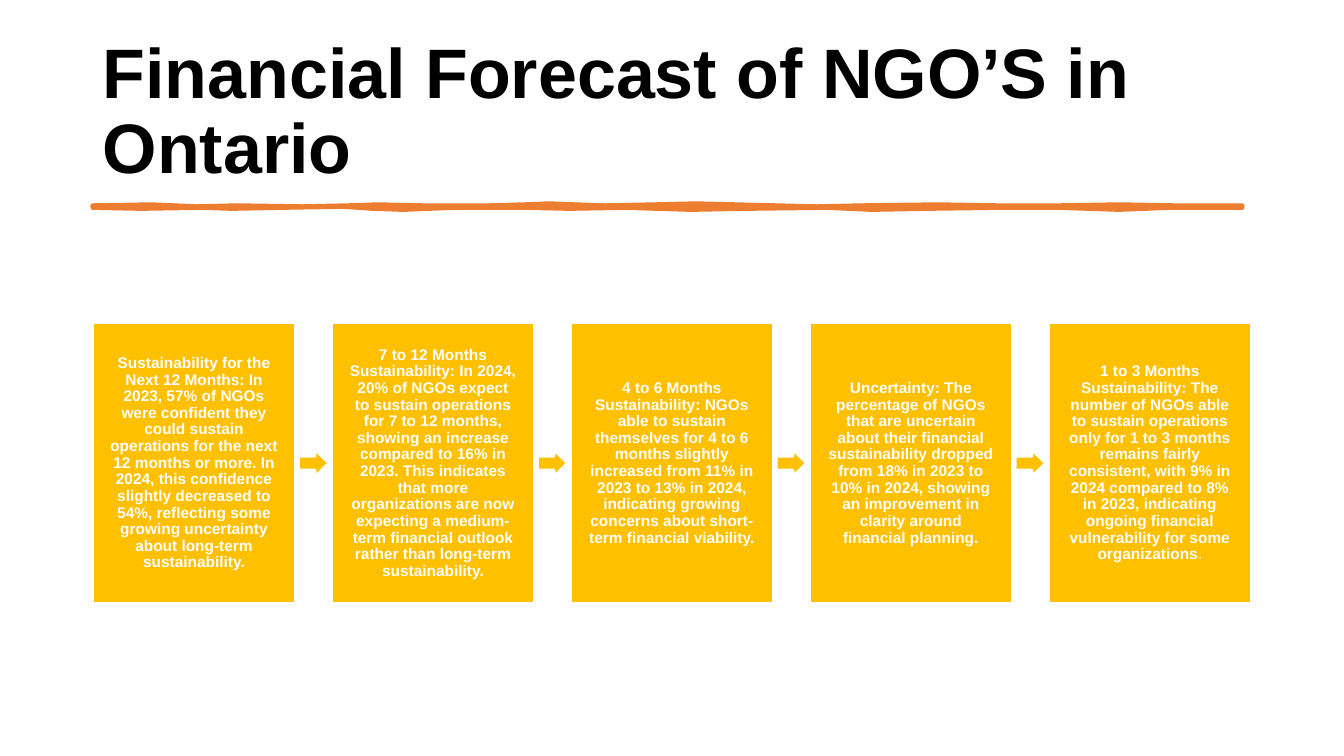
from pptx import Presentation
from pptx.dml.color import RGBColor
from pptx.enum import shapes, text
from pptx.util import Inches, Pt

BLACK = RGBColor(0x00, 0x00, 0x00)
WHITE = RGBColor(0xFF, 0xFF, 0xFF)
GOLD = RGBColor(0xFF, 0xC0, 0x00)
ORANGE = RGBColor(0xED, 0x7D, 0x31)

# Card row geometry in inches
ROW_LEFT, ROW_TOP = 0.92, 3.2
CARD_WIDTH, CARD_HEIGHT, CARD_STEP = 2.01, 2.79, 2.37
ARROW_WIDTH, ARROW_HEIGHT = 0.3, 0.27

# Each card is a list of (words, bold) runs
FORECASTS = [
    [("Sustainability for the Next 12 Months: In 2023, 57% of NGOs were confident they could "
      "sustain operations for the next 12 months or more. In 2024, this confidence slightly "
      "decreased to 54%, reflecting some growing uncertainty about long-term sustainability.", True)],
    [("7 to 12 Months Sustainability: In 2024, 20% of NGOs expect to sustain operations for "
      "7 to 12 months, showing an increase compared to 16% in 2023. This indicates that more "
      "organizations are now expecting a medium-term financial outlook rather than long-term "
      "sustainability.", True)],
    [("4 to 6 Months Sustainability: NGOs able to sustain themselves for 4 to 6 months slightly "
      "increased from 11% in 2023 to 13% in 2024, indicating growing concerns about short-term "
      "financial viability.", True)],
    [("Uncertainty: The percentage of NGOs that are uncertain about their financial "
      "sustainability dropped from 18% in 2023 to 10% in 2024, showing an improvement in "
      "clarity around financial planning.", True)],
    [("1 to 3 Months Sustainability: The number of NGOs able to sustain operations only for "
      "1 to 3 months remains fairly consistent, with 9% in 2024 compared to 8% in 2023, "
      "indicating ongoing financial vulnerability for some organizations", True), (".", False)],
]

# Edges of the hand-drawn rule, left to right, in inches
RULE_TOP = [
    (0.92, 2.04), (1.5, 2.03), (1.95, 2.05), (2.35, 2.04), (3.0, 2.05), (3.45, 2.04),
    (3.75, 2.03), (4.2, 2.04), (4.85, 2.04), (5.2, 2.03), (5.45, 2.02), (5.7, 2.03),
    (6.0, 2.04), (6.5, 2.03), (6.9, 2.02), (7.3, 2.03), (8.1, 2.05), (8.55, 2.04),
    (9.3, 2.03), (9.9, 2.04), (10.5, 2.04), (11.1, 2.03), (11.65, 2.04), (12.32, 2.04),
]
RULE_BOTTOM = [
    (0.92, 2.06), (1.4, 2.07), (2.0, 2.06), (2.3, 2.07), (2.8, 2.06), (3.4, 2.05),
    (3.7, 2.07), (4.0, 2.08), (4.5, 2.06), (5.2, 2.06), (5.65, 2.07), (6.2, 2.06),
    (6.85, 2.08), (7.4, 2.07), (8.2, 2.06), (8.65, 2.08), (9.2, 2.07), (9.9, 2.06),
    (10.5, 2.06), (11.1, 2.08), (11.6, 2.06), (12.32, 2.06),
]


def paint(shape, fill, line, weight):
    shape.shadow.inherit = False
    shape.fill.solid()
    shape.fill.fore_color.rgb = fill
    shape.line.color.rgb = line
    shape.line.width = Pt(weight)


def write(frame, runs, size, color, alignment, inset_x, inset_y):
    frame.word_wrap = True
    frame.auto_size = text.MSO_AUTO_SIZE.NONE
    frame.vertical_anchor = text.MSO_ANCHOR.MIDDLE
    frame.margin_left = frame.margin_right = Inches(inset_x)
    frame.margin_top = frame.margin_bottom = Inches(inset_y)
    para = frame.paragraphs[0]
    para.alignment = alignment
    para.line_spacing = 0.9
    para.space_before = Pt(0)
    for words, bold in runs:
        span = para.add_run()
        span.text = words
        span.font.name = "Arial"
        span.font.size = Pt(size)
        span.font.bold = bold
        span.font.color.rgb = color


def add_title(page, words):
    title = page.shapes.title
    title.left, title.top = Inches(0.92), Inches(0.4)
    title.width, title.height = Inches(11.5), Inches(1.45)
    write(title.text_frame, [(words, True)], 50, BLACK, text.PP_ALIGN.LEFT, 0.1, 0.05)


def add_rule(page):
    points = [(Inches(x), Inches(y)) for x, y in RULE_TOP + RULE_BOTTOM[::-1]]
    builder = page.shapes.build_freeform(*points[0])
    builder.add_line_segments(points[1:], close=True)
    paint(builder.convert_to_shape(), ORANGE, ORANGE, 3.25)


def add_card(page, left, runs):
    card = page.shapes.add_shape(shapes.MSO_SHAPE.RECTANGLE, Inches(left), Inches(ROW_TOP),
                                 Inches(CARD_WIDTH), Inches(CARD_HEIGHT))
    paint(card, GOLD, WHITE, 2)
    write(card.text_frame, runs, 11, WHITE, text.PP_ALIGN.CENTER, 0.17, 0.17)


def add_arrow(page, card_left):
    left = card_left + (CARD_WIDTH + CARD_STEP - ARROW_WIDTH) / 2
    top = ROW_TOP + (CARD_HEIGHT - ARROW_HEIGHT) / 2
    arrow = page.shapes.add_shape(shapes.MSO_SHAPE.RIGHT_ARROW, Inches(left), Inches(top),
                                  Inches(ARROW_WIDTH), Inches(ARROW_HEIGHT))
    paint(arrow, GOLD, WHITE, 2)


def main():
    deck = Presentation()
    deck.slide_width, deck.slide_height = Inches(13.33), Inches(7.5)
    page = deck.slides.add_slide(deck.slide_layouts[5])

    # Heading
    add_title(page, "Financial Forecast of NGO’S in Ontario")
    add_rule(page)

    # Row of forecasts with an arrow in each gap
    for index, runs in enumerate(FORECASTS):
        left = ROW_LEFT + index * CARD_STEP
        add_card(page, left, runs)
        if index < len(FORECASTS) - 1:
            add_arrow(page, left)

    deck.save("out.pptx")


if __name__ == "__main__":
    main()
